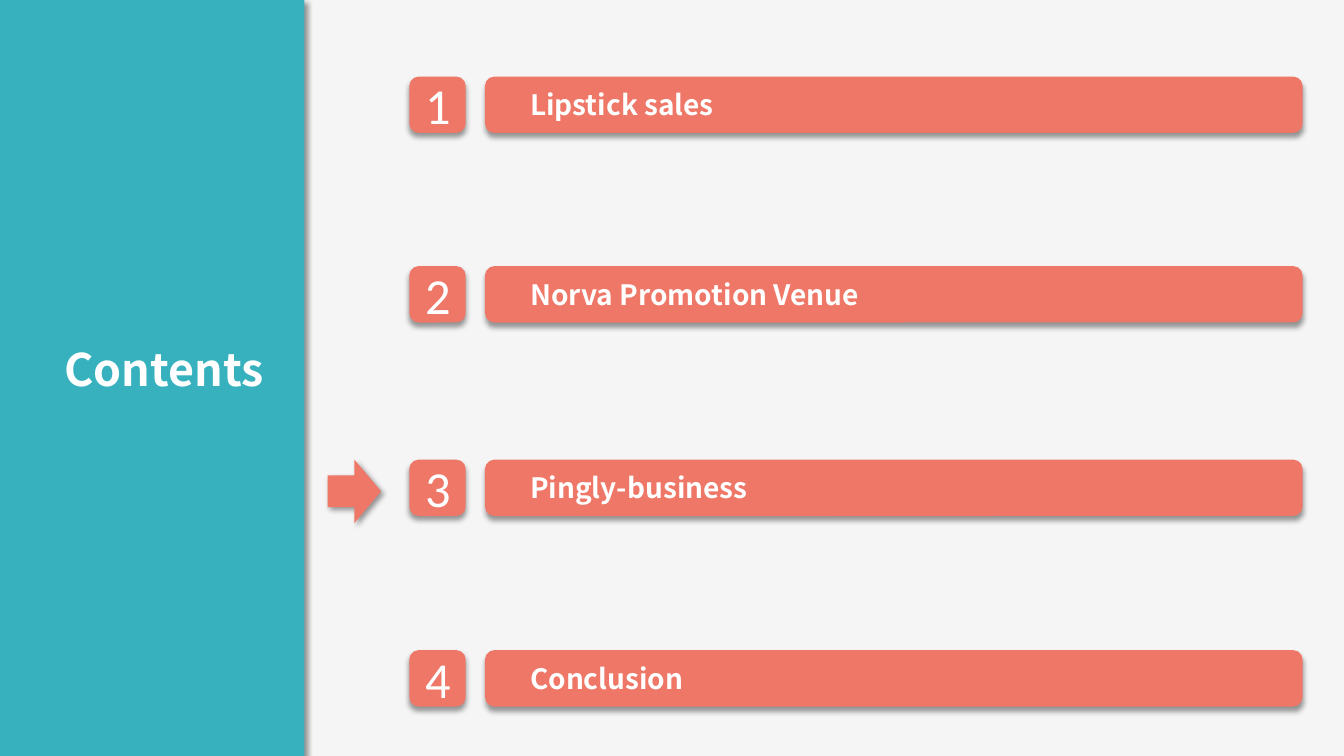
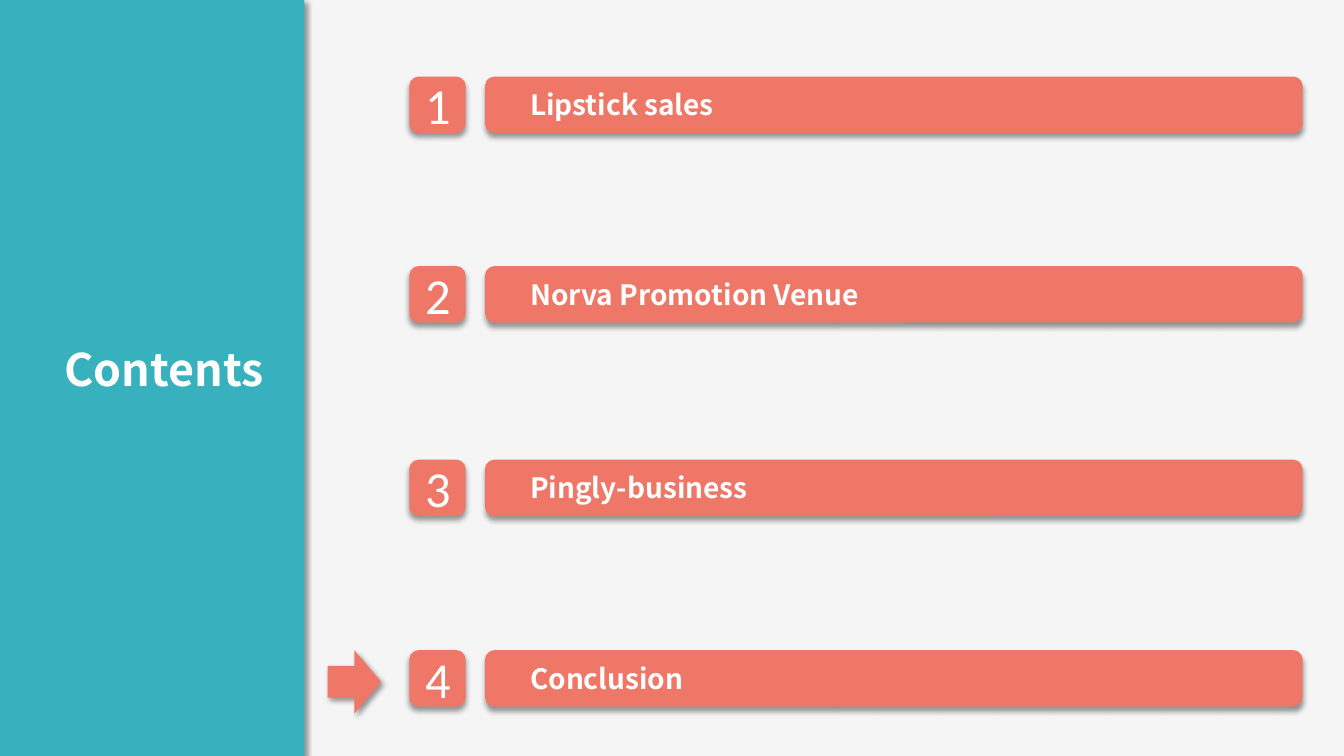
from lxml.etree import SubElement
from pptx import Presentation
from pptx.dml.color import RGBColor
from pptx.enum.shapes import MSO_SHAPE
from pptx.enum.text import MSO_ANCHOR, PP_ALIGN
from pptx.oxml.ns import qn
from pptx.util import Inches, Pt

# Content: each entry with the top of its row, and the entry marked on each slide
TITLE = "Contents"
ENTRIES = [
    ("Lipstick sales", 0.76),
    ("Norva Promotion Venue", 2.64),
    ("Pingly-business", 4.56),
    ("Conclusion", 6.45),
]
MARKED_ENTRIES = [3, 4]

# Shared style
TEAL, CORAL, WHITE, PAPER, BLACK = "38B1BF", "EF7768", "FFFFFF", "F5F5F5", "000000"
HEADING_FONT, NUMBER_FONT = "Noto Sans CJK SC", "Calibri"
SLIDE_WIDTH, SLIDE_HEIGHT = 13.33, 7.5
PANEL_WIDTH = 3.02
ROW_HEIGHT = 0.56
NUMBER_LEFT = 4.06
BAR_LEFT, BAR_WIDTH = 4.81, 8.11
ARROW_LEFT, ARROW_WIDTH, ARROW_HEIGHT = 3.25, 0.53, 0.63
SIDE_INSET, BAR_INSET = 0.13, 0.42


def color(hex_value):
    return RGBColor.from_string(hex_value)


def add_shadow(shape, angle):
    shape.shadow.inherit = False
    effects = shape._element.spPr.find(qn("a:effectLst"))
    shadow = SubElement(
        effects, qn("a:outerShdw"), blurRad=str(Pt(4)), dist=str(Pt(3)),
        dir=str(angle * 60000), algn="tl", rotWithShape="0")
    shade = SubElement(shadow, qn("a:srgbClr"), val=BLACK)
    SubElement(shade, qn("a:alpha"), val="40000")


def add_block(slide, kind, left, top, width, height, fill, angle=90):
    shape = slide.shapes.add_shape(
        kind, Inches(left), Inches(top), Inches(width), Inches(height))
    shape.fill.solid()
    shape.fill.fore_color.rgb = color(fill)
    shape.line.fill.background()
    add_shadow(shape, angle)
    return shape


def write_text(shape, text, size, font=HEADING_FONT, bold=True,
               align=PP_ALIGN.LEFT, anchor=MSO_ANCHOR.MIDDLE, inset=SIDE_INSET):
    frame = shape.text_frame
    frame.word_wrap = True
    frame.vertical_anchor = anchor
    frame.margin_left, frame.margin_right = Inches(inset), Inches(SIDE_INSET)
    frame.margin_top = frame.margin_bottom = Inches(0.07)
    paragraph = frame.paragraphs[0]
    paragraph.alignment = align
    run = paragraph.add_run()
    run.text = text
    run.font.name, run.font.size, run.font.bold = font, Pt(size), bold
    run.font.color.rgb = color(WHITE)


def add_title_panel(slide):
    add_block(slide, MSO_SHAPE.RECTANGLE, 0, 0, PANEL_WIDTH, SLIDE_HEIGHT, TEAL, angle=45)
    title = slide.shapes.add_textbox(Inches(0), Inches(3.19), Inches(2.75), Inches(0.8))
    write_text(title, TITLE, 32, align=PP_ALIGN.RIGHT, anchor=MSO_ANCHOR.BOTTOM)


def add_entry(slide, number, text, top):
    badge = add_block(slide, MSO_SHAPE.ROUNDED_RECTANGLE,
                      NUMBER_LEFT, top, ROW_HEIGHT, ROW_HEIGHT, CORAL)
    write_text(badge, str(number), 36, font=NUMBER_FONT, bold=False, align=PP_ALIGN.CENTER)
    bar = add_block(slide, MSO_SHAPE.ROUNDED_RECTANGLE,
                    BAR_LEFT, top, BAR_WIDTH, ROW_HEIGHT, CORAL)
    write_text(bar, text, 20, inset=BAR_INSET)


def add_contents_slide(presentation, marked):
    slide = presentation.slides.add_slide(presentation.slide_layouts[6])
    add_title_panel(slide)
    for number, (text, top) in enumerate(ENTRIES, start=1):
        add_entry(slide, number, text, top)
        if number == marked:
            add_block(slide, MSO_SHAPE.RIGHT_ARROW,
                      ARROW_LEFT, top, ARROW_WIDTH, ARROW_HEIGHT, CORAL, angle=45)


def main():
    presentation = Presentation()
    presentation.slide_width = Inches(SLIDE_WIDTH)
    presentation.slide_height = Inches(SLIDE_HEIGHT)
    background = presentation.slide_master.background.fill
    background.solid()
    background.fore_color.rgb = color(PAPER)
    for marked in MARKED_ENTRIES:
        add_contents_slide(presentation, marked)
    presentation.save("out.pptx")


if __name__ == "__main__":
    main()
